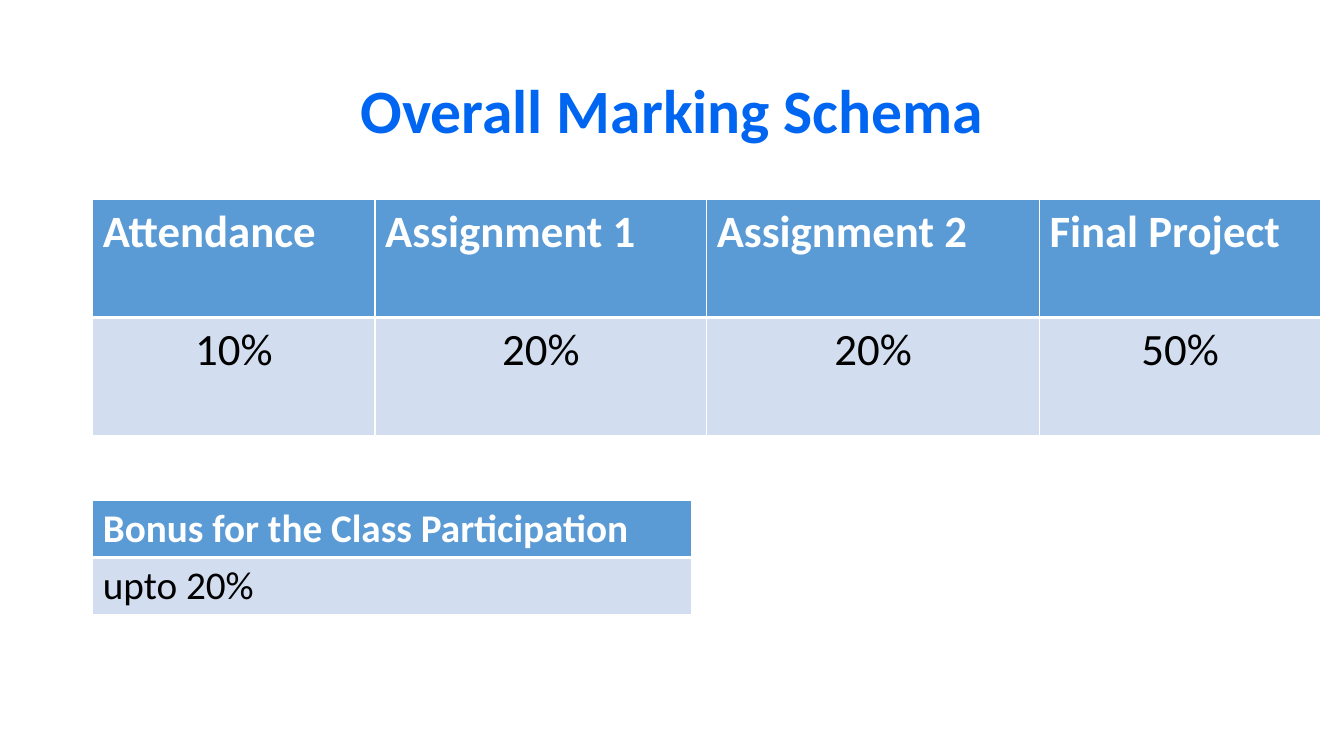
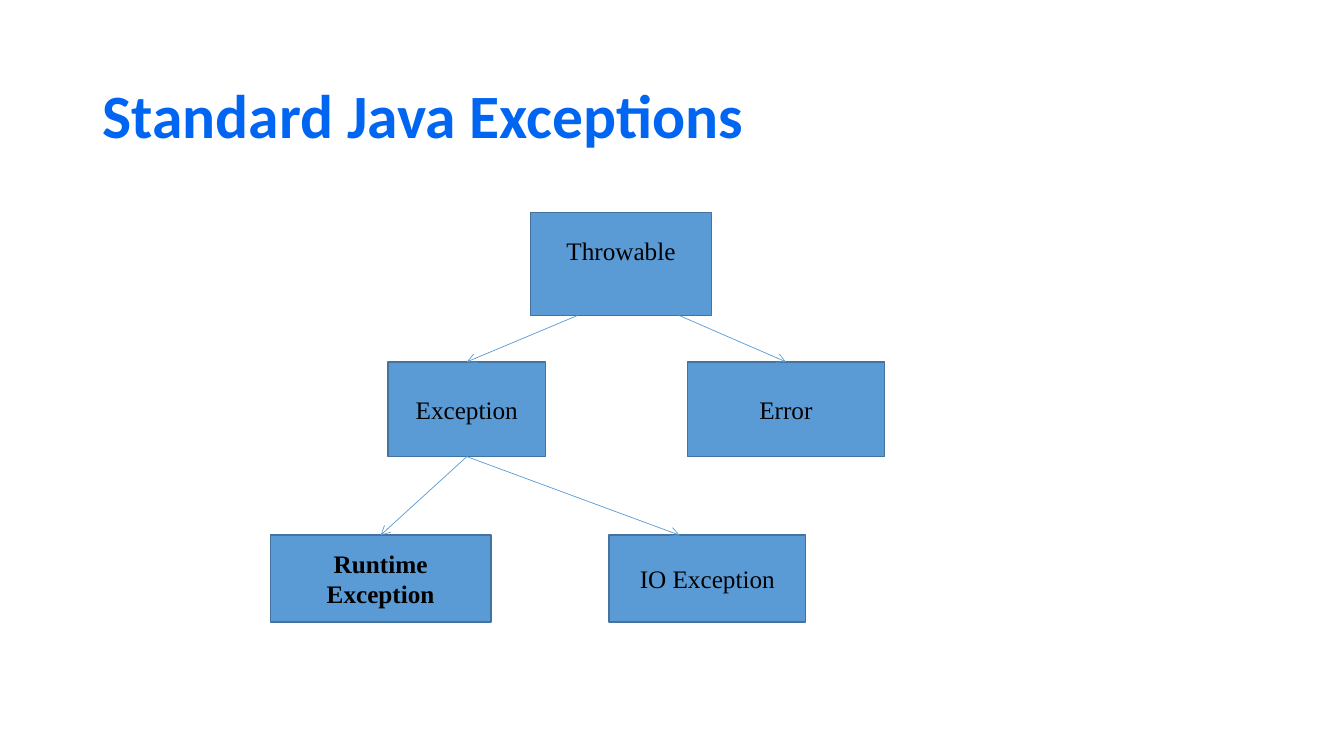
from pptx import Presentation
from pptx import util as u
from pptx.dml.color import RGBColor
from pptx.enum import shapes, text
from pptx.oxml import ns
from lxml import etree

TITLE_BLUE = RGBColor(0x00, 0x66, 0xF2)
BLUE = RGBColor(0x5B, 0x9B, 0xD5)
DARK_BLUE = RGBColor(0x43, 0x73, 0x9E)
PALE_BLUE = RGBColor(0xD2, 0xDE, 0xEF)
WHITE = RGBColor(0xFF, 0xFF, 0xFF)
BLACK = RGBColor(0x00, 0x00, 0x00)

LEFT, CENTER = text.PP_ALIGN.LEFT, text.PP_ALIGN.CENTER
TITLE = dict(name="Calibri", size=u.Pt(44), bold=True)
BODY = dict(name="Times New Roman", size=u.Pt(18))
MARGIN = 0.92


class Deck:
    """Hold the shared style and the current slide, and draw its elements."""

    def __init__(self):
        self.prs = Presentation()
        self.prs.slide_width = u.Inches(13.33)
        self.prs.slide_height = u.Inches(7.5)

    def add_text(self, tf, lines, color, align, font, spacing=1.0):
        tf.word_wrap = True
        for i, line in enumerate(lines.split("\n")):
            p = tf.paragraphs[0] if i == 0 else tf.add_paragraph()
            p.alignment = align
            p.line_spacing = spacing
            r = p.add_run()
            r.text = line
            r.font.color.rgb = color
            for key, value in font.items():
                setattr(r.font, key, value)

    def slide(self, title, align=LEFT, spacing=1.0):
        self.s = self.prs.slides.add_slide(self.prs.slide_layouts[6])
        box = self.s.shapes.add_textbox(*map(u.Inches, (MARGIN, 0.4, 11.5, 1.45)))
        box.text_frame.vertical_anchor = text.MSO_ANCHOR.MIDDLE
        self.add_text(box.text_frame, title, TITLE_BLUE, align, TITLE, spacing)

    def border(self, cell, side, width):
        tc_pr = cell._tc.get_or_add_tcPr()
        ln = etree.SubElement(tc_pr, ns.qn(f"a:ln{side}"), w=str(u.Pt(width)))
        fill = etree.SubElement(ln, ns.qn("a:solidFill"))
        etree.SubElement(fill, ns.qn("a:srgbClr"), val=str(WHITE))

    def table(self, top, widths, row_height, rows, size, align=LEFT):
        frame = self.s.shapes.add_table(
            len(rows), len(widths), u.Inches(MARGIN), u.Inches(top),
            u.Inches(sum(widths)), u.Inches(row_height * len(rows)))
        tbl = frame.table
        tbl.horz_banding = False
        for col, width in zip(tbl.columns, widths):
            col.width = u.Inches(width)
        for i, row in enumerate(rows):
            head = i == 0
            tbl.rows[i].height = u.Inches(row_height)
            borders = dict(L=1, R=1, T=1 if head else 3, B=3 if head else 1)
            for j, label in enumerate(row):
                cell = tbl.cell(i, j)
                for side, width in borders.items():
                    self.border(cell, side, width)
                cell.fill.solid()
                cell.fill.fore_color.rgb = BLUE if head else PALE_BLUE
                font = dict(name="Calibri", size=u.Pt(size), bold=head)
                self.add_text(cell.text_frame, label, WHITE if head else BLACK,
                              LEFT if head else align, font)

    def box(self, label, left, top, width, height, bold=False, bottom=0.05):
        sp = self.s.shapes.add_shape(
            shapes.MSO_SHAPE.RECTANGLE, *map(u.Inches, (left, top, width, height)))
        sp.shadow.inherit = False
        sp.fill.solid()
        sp.fill.fore_color.rgb = BLUE
        sp.line.color.rgb = DARK_BLUE
        sp.line.width = u.Pt(1)
        tf = sp.text_frame
        tf.vertical_anchor = text.MSO_ANCHOR.MIDDLE
        tf.margin_bottom = u.Inches(bottom)
        self.add_text(tf, label, BLACK, CENTER, dict(BODY, bold=bold))
        return sp

    def arrow(self, parent, child, start=0.5, end=0.5):
        cn = self.s.shapes.add_connector(
            shapes.MSO_CONNECTOR.STRAIGHT,
            int(parent.left + parent.width * start), parent.top + parent.height,
            int(child.left + child.width * end), child.top)
        cn.line.color.rgb = BLUE
        cn.line.width = u.Pt(0.5)
        sp_pr = cn._element.spPr
        etree.SubElement(sp_pr.find(ns.qn("a:ln")), ns.qn("a:tailEnd"), type="arrow")
        etree.SubElement(sp_pr, ns.qn("a:effectLst"))


def marking(deck):
    """Draw the marking schema."""
    deck.slide("Overall Marking Schema", CENTER, 0.9)
    deck.table(1.98, [2.8, 3.29, 3.3, 2.79], 1.17, [
        ["Attendance", "Assignment 1", "Assignment 2", "Final Project"],
        ["10%", "20%", "20%", "50%"]], 32, CENTER)
    deck.table(4.96, [5.94], 0.57, [
        ["Bonus for the Class Participation"], ["upto 20%"]], 28)


def exceptions(deck):
    """Draw the exception class tree."""
    deck.slide("Standard Java Exceptions")
    throwable = deck.box("Throwable", 5.26, 2.11, 1.8, 1.02, bottom=0.33)
    exception = deck.box("Exception", 3.85, 3.59, 1.56, 0.94)
    error = deck.box("Error", 6.82, 3.59, 1.95, 0.94)
    runtime = deck.box("Runtime\nException", 2.68, 5.31, 2.19, 0.86, bold=True)
    io_error = deck.box("IO Exception", 6.04, 5.31, 1.95, 0.86)
    deck.arrow(throwable, exception, start=0.26)
    deck.arrow(throwable, error, start=0.82)
    deck.arrow(exception, runtime)
    deck.arrow(exception, io_error, end=0.36)


def main():
    """Build and save the deck."""
    deck = Deck()
    marking(deck)
    exceptions(deck)
    deck.prs.save("out.pptx")


if __name__ == "__main__":
    main()
